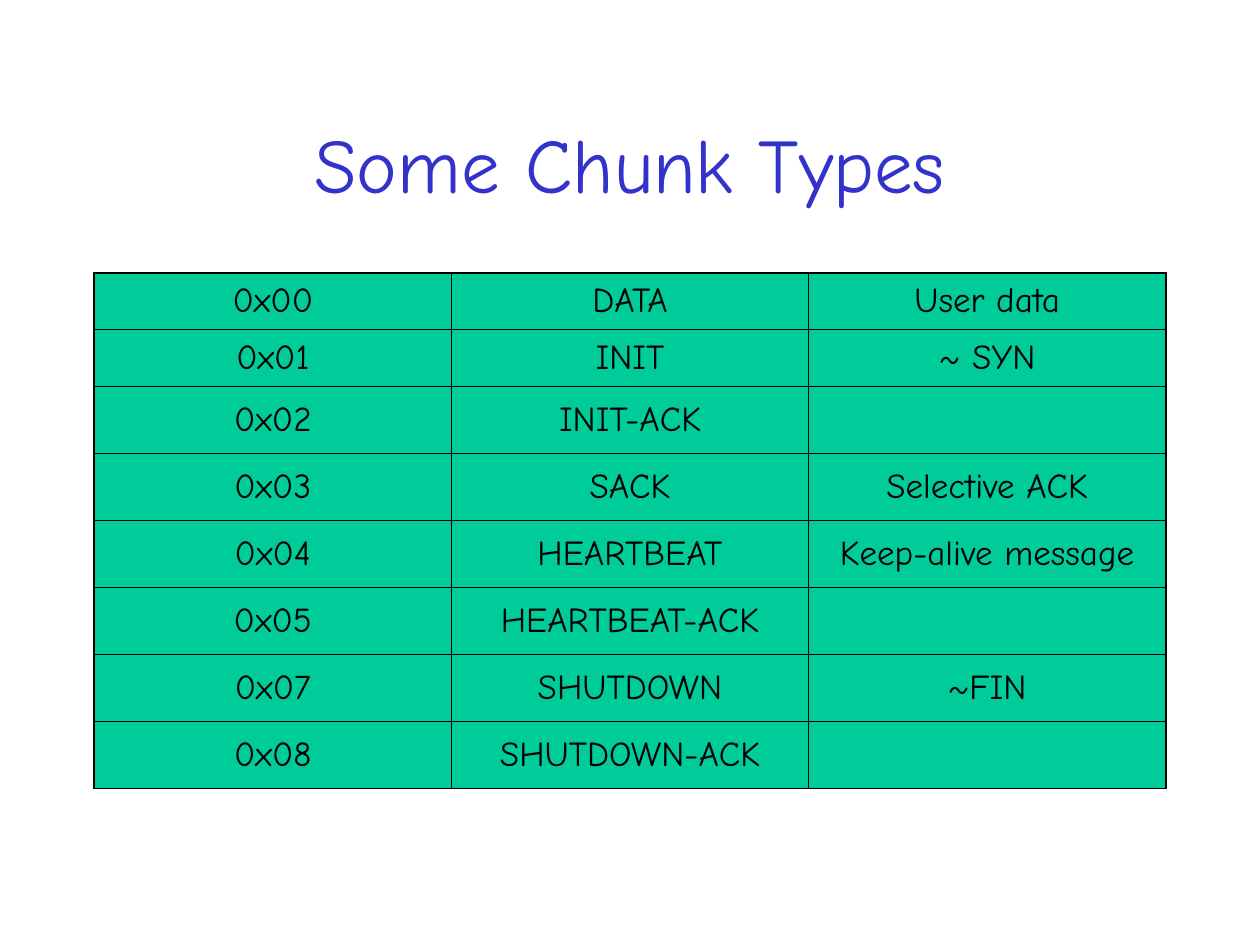
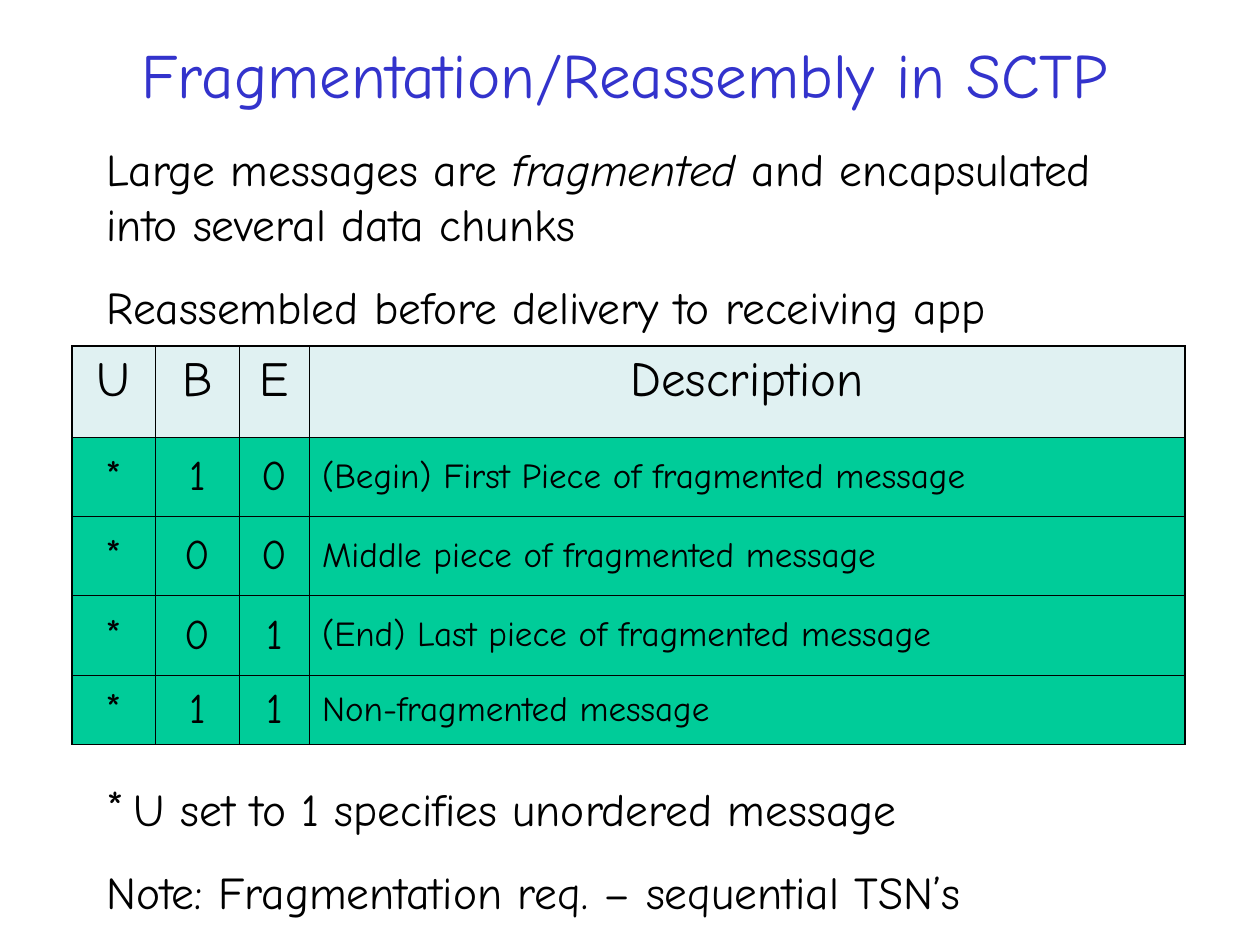
from lxml.etree import SubElement
from pptx import Presentation
from pptx.dml.color import RGBColor
from pptx.enum.text import MSO_ANCHOR, PP_ALIGN
from pptx.oxml.ns import qn
from pptx.util import Cm, Pt

# Shared style
FONT = "Comic Neue"
TITLE_BLUE = "3333CC"
BLACK = "000000"
GREEN = "00CC99"
PALE = "E0F1F2"
BODY_SIZE = 26
OUTER_LINE, INNER_LINE = 1.08, 0.45

CHUNK_TYPES = [
    ("0x00", "DATA", "User data"),
    ("0x01", "INIT", "~ SYN"),
    ("0x02", "INIT-ACK", ""),
    ("0x03", "SACK", "Selective ACK"),
    ("0x04", "HEARTBEAT", "Keep-alive message"),
    ("0x05", "HEARTBEAT-ACK", ""),
    ("0x07", "SHUTDOWN", "~FIN"),
    ("0x08", "SHUTDOWN-ACK", ""),
]
FRAGMENT_FLAGS = [
    ("U", "B", "E", "Description"),
    ("*", "1", "0", "(Begin) First Piece of fragmented message"),
    ("*", "0", "0", "Middle piece of fragmented message"),
    ("*", "0", "1", "(End) Last piece of fragmented message"),
    ("*", "1", "1", "Non-fragmented message"),
]


def color(hex_code):
    return RGBColor.from_string(hex_code)


def add_span(para, text, size, hex_code=BLACK, italic=False):
    span = para.add_run()
    span.text = text
    font = span.font
    font.name, font.size = FONT, Pt(size)
    font.color.rgb = color(hex_code)
    if italic:
        font.italic = True


def add_box(page, left, top, width, height):
    box = page.shapes.add_textbox(Cm(left), Cm(top), Cm(width), Cm(height))
    box.text_frame.word_wrap = True
    return box.text_frame


def add_title(page, text, size, left, top, width, height):
    frame = add_box(page, left, top, width, height)
    frame.vertical_anchor = MSO_ANCHOR.MIDDLE
    para = frame.paragraphs[0]
    para.alignment = PP_ALIGN.CENTER
    add_span(para, text, size, TITLE_BLUE)


def add_body(page, top, height, paragraphs):
    """Each paragraph is a list of (text, italic) spans."""
    frame = add_box(page, 1.9, top, 20.75, height)
    for index, spans in enumerate(paragraphs):
        para = frame.add_paragraph() if index else frame.paragraphs[0]
        if index:
            para.space_before = Pt(16.2)
        for text, italic in spans:
            add_span(para, text, BODY_SIZE, italic=italic)
    return frame


def set_bullet(para, mark, indent):
    properties = para._p.get_or_add_pPr()
    properties.set("marL", str(Cm(indent)))
    properties.set("indent", str(-Cm(indent)))
    SubElement(properties, qn("a:buFont"), typeface=FONT)
    SubElement(properties, qn("a:buChar"), char=mark)


def set_border(cell, side, width):
    line = SubElement(cell._tc.get_or_add_tcPr(), qn(f"a:ln{side}"), w=str(Pt(width)))
    fill = SubElement(line, qn("a:solidFill"))
    SubElement(fill, qn("a:srgbClr"), val=BLACK)


def add_grid(page, left, top, widths, heights, rows, style):
    """style(row, column) gives text size, alignment, anchor and fill."""
    frame = page.shapes.add_table(len(heights), len(widths), Cm(left), Cm(top),
                                  Cm(sum(widths)), Cm(sum(heights)))
    table = frame.table
    table.first_row = table.horz_banding = False
    for column, width in zip(table.columns, widths):
        column.width = Cm(width)
    for row, height in zip(table.rows, heights):
        row.height = Cm(height)
    for r, texts in enumerate(rows):
        for c, text in enumerate(texts):
            cell = table.cell(r, c)
            size, alignment, anchor, fill = style(r, c)
            edges = {"L": c == 0, "R": c == len(widths) - 1,
                     "T": r == 0, "B": r == len(heights) - 1}
            for side, outer in edges.items():
                set_border(cell, side, OUTER_LINE if outer else INNER_LINE)
            cell.fill.solid()
            cell.fill.fore_color.rgb = color(fill)
            cell.vertical_anchor = anchor
            para = cell.text_frame.paragraphs[0]
            para.alignment = alignment
            if text:
                add_span(para, text, size)


def chunk_style(row, column):
    return 20, PP_ALIGN.CENTER, MSO_ANCHOR.MIDDLE, GREEN


def flag_style(row, column):
    if row == 0:
        return 28, PP_ALIGN.CENTER, MSO_ANCHOR.TOP, PALE
    if column == 3:
        return 20, PP_ALIGN.LEFT, MSO_ANCHOR.MIDDLE, GREEN
    return 24, PP_ALIGN.CENTER, MSO_ANCHOR.MIDDLE, GREEN


def build_chunk_types(page):
    add_title(page, "Some Chunk Types", 44, 1.9, 1.7, 21.6, 3.18)
    add_grid(page, 1.9, 5.5, [7.2] * 3, [1.15] * 2 + [1.35] * 6,
             CHUNK_TYPES, chunk_style)


def build_fragmentation(page):
    add_title(page, "Fragmentation/Reassembly in SCTP", 36, 1.27, 0.2, 22.65, 2.54)
    add_grid(page, 1.45, 6.98, [1.69, 1.69, 1.41, 17.65],
             [1.83] + [1.6] * 3 + [1.4], FRAGMENT_FLAGS, flag_style)
    notes = add_body(page, 15.62, 3.02, [
        [("U set to 1 specifies unordered message", False)],
        [("Note: Fragmentation req. – sequential TSN’s", False)],
    ])
    set_bullet(notes.paragraphs[0], "*", 0.55)
    add_body(page, 2.72, 4.14, [
        [("Large messages are ", False), ("fragmented", True),
         (" and encapsulated into several data chunks", False)],
        [("Reassembled before delivery to receiving app", False)],
    ])


def main():
    deck = Presentation()
    deck.slide_width, deck.slide_height = Cm(25.4), Cm(19.05)
    blank = deck.slide_layouts[6]
    for build in (build_chunk_types, build_fragmentation):
        build(deck.slides.add_slide(blank))
    deck.save("out.pptx")


if __name__ == "__main__":
    main()
